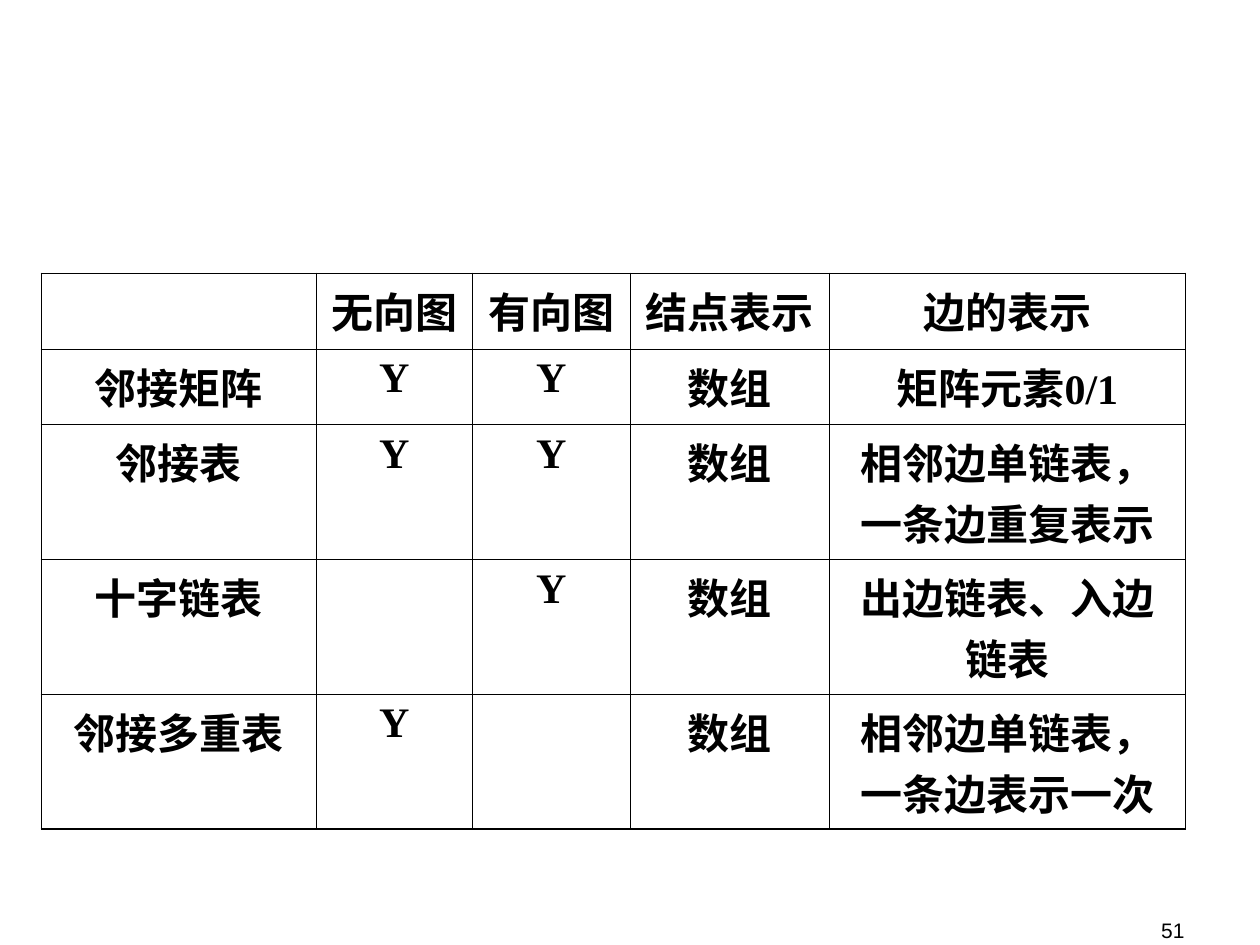
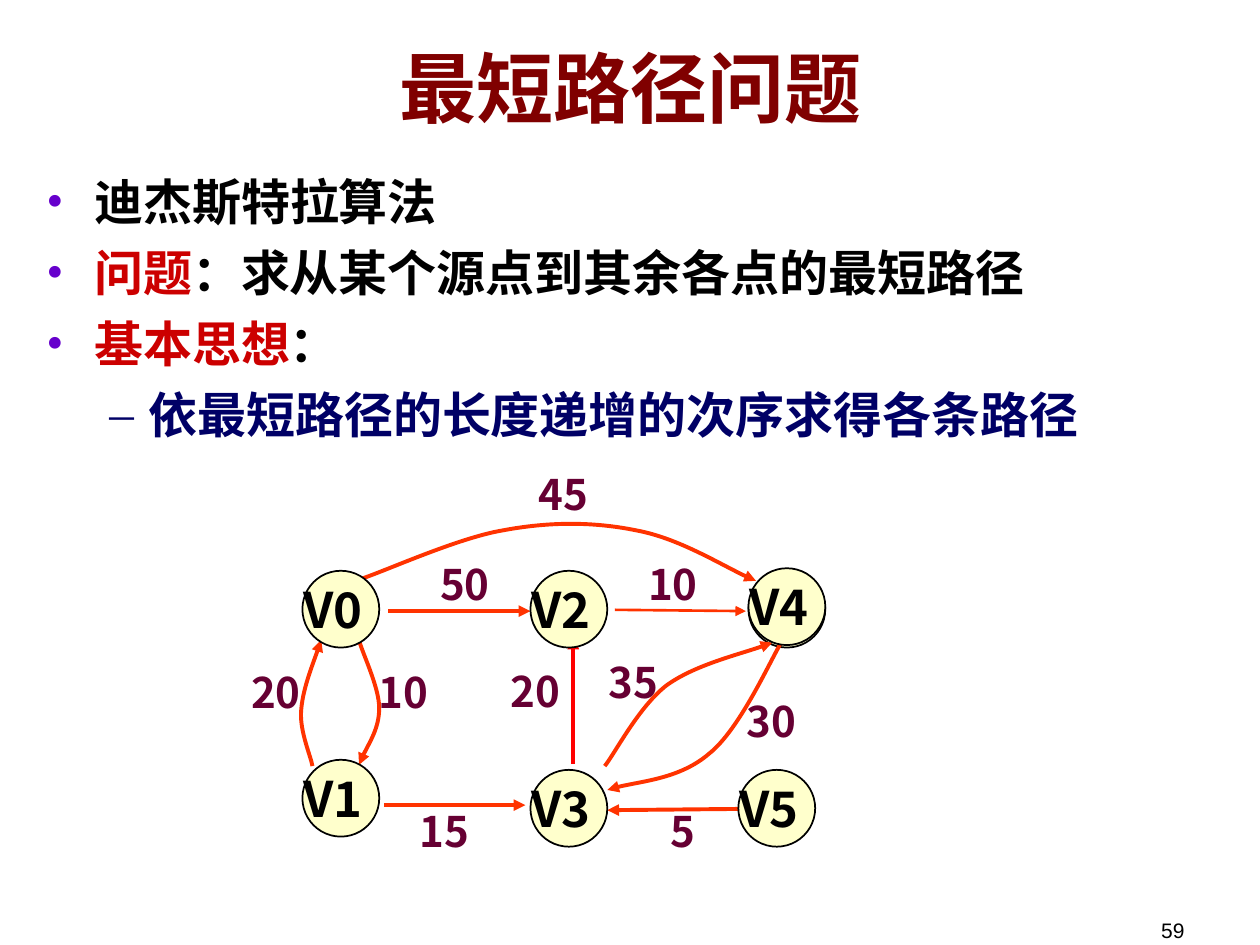
from dataclasses import dataclass

from lxml import etree
from pptx import Presentation
from pptx.dml.color import RGBColor
from pptx.enum.shapes import MSO_CONNECTOR, MSO_SHAPE
from pptx.enum.text import MSO_ANCHOR, PP_ALIGN
from pptx.oxml.ns import qn
from pptx.util import Inches, Pt

LEFT, CENTER, RIGHT = PP_ALIGN.LEFT, PP_ALIGN.CENTER, PP_ALIGN.RIGHT
TOP, MIDDLE, BOTTOM = MSO_ANCHOR.TOP, MSO_ANCHOR.MIDDLE, MSO_ANCHOR.BOTTOM
STRAIGHT, OVAL = MSO_CONNECTOR.STRAIGHT, MSO_SHAPE.OVAL


@dataclass(frozen=True)
class Theme:
    serif: str = "Times New Roman"
    sans: str = "Arial"
    chinese: str = "Noto Sans CJK SC"
    black: str = "000000"
    title: str = "800000"
    emphasis: str = "CC0000"
    bullet: str = "6600CC"
    detail: str = "000066"
    node: str = "FFFFCC"
    edge: str = "FF3300"
    red_edge: str = "FF0000"
    weight: str = "660033"
    title_size: float = 44
    body_size: float = 28
    label_size: float = 24
    page_size: float = 12
    edge_width: float = 2.25
    thin_edge: float = 1.5
    outer_border: float = 1.08
    inner_border: float = 0.45


THEME = Theme()
NODE_SIZE = 0.61

TABLE_COLUMNS = [2.18, 1.24, 1.25, 1.58, 2.83]
TABLE_ROWS = [0.6, 0.6, 1.07, 1.07, 1.07]
STORAGE_TABLE = [
    ["", "无向图", "有向图", "结点表示", "边的表示"],
    ["邻接矩阵", "Y", "Y", "数组", "矩阵元素0/1"],
    ["邻接表", "Y", "Y", "数组", "相邻边单链表，一条边重复表示"],
    ["十字链表", "", "Y", "数组", "出边链表、入边链表"],
    ["邻接多重表", "Y", "", "数组", "相邻边单链表，一条边表示一次"],
]

# Text and colour of each span
BULLETS = [
    [("迪杰斯特拉算法", THEME.black)],
    [("问题", THEME.emphasis), ("：求从某个源点到其余各点的最短路径", THEME.black)],
    [("基本思想", THEME.emphasis), ("：", THEME.black)],
]
DETAIL = [("依最短路径的长度递增的次序求得各条路径", THEME.detail)]

# Left and top of each circle
NODES = {
    "V2": (4.21, 4.53), "V0": (2.4, 4.53), "V1": (2.4, 6.03),
    "V4": (5.94, 4.51), "V3": (4.21, 6.11), "V5": (5.86, 6.11),
}
# Start, end, colour, width
STRAIGHT_EDGES = [
    ((5.9, 6.42), (4.82, 6.43), THEME.edge, THEME.edge_width),
    ((3.05, 6.39), (4.17, 6.39), THEME.edge, THEME.edge_width),
    ((3.08, 4.85), (4.21, 4.85), THEME.edge, THEME.edge_width),
    ((4.55, 6.06), (4.55, 5.06), THEME.red_edge, THEME.edge_width),
    ((4.88, 4.84), (5.92, 4.85), THEME.edge, THEME.thin_edge),
]
# Start point, then two handles and an end point for each Bézier piece
CURVED_EDGES = [
    [(2.85, 5.08), (2.87, 5.17), (3.01, 5.45), (3.01, 5.62),
     (3.01, 5.78), (2.88, 5.98), (2.85, 6.07)],
    [(2.48, 6.08), (2.47, 6.01), (2.38, 5.81), (2.39, 5.65),
     (2.4, 5.48), (2.51, 5.2), (2.55, 5.08)],
    [(4.8, 6.08), (4.88, 5.98), (5.07, 5.61), (5.29, 5.44),
     (5.51, 5.28), (5.96, 5.17), (6.13, 5.1)],
    [(6.2, 5.1), (6.11, 5.25), (5.87, 5.79), (5.63, 5.98),
     (5.4, 6.18), (4.99, 6.21), (4.82, 6.27)],
    [(2.85, 4.6), (3.04, 4.54), (3.63, 4.27), (3.99, 4.21),
     (4.36, 4.14), (4.71, 4.14), (5.05, 4.21),
     (5.38, 4.27), (5.8, 4.53), (6, 4.61)],
]
# Weight, centre, top
WEIGHTS = [
    ("45", 4.47, 3.67), ("50", 3.69, 4.38), ("10", 5.34, 4.38),
    ("20", 2.19, 5.24), ("10", 3.2, 5.24), ("15", 3.53, 6.34),
    ("20", 4.25, 5.23), ("5", 5.42, 6.34), ("30", 6.12, 5.47),
    ("35", 5.03, 5.16),
]


def rgb(color):
    return RGBColor.from_string(color)


def add_span(para, text, size, color, font=THEME.serif, bold=True):
    span = para.add_run()
    span.text = text
    span.font.size = Pt(size)
    span.font.bold = bold
    span.font.name = font
    span.font.color.rgb = rgb(color)
    east_asian = etree.SubElement(span.font._element, qn("a:ea"))
    east_asian.set("typeface", THEME.chinese)


def add_box(page, left, top, width, height, anchor=TOP):
    box = page.shapes.add_textbox(Inches(left), Inches(top), Inches(width), Inches(height))
    box.text_frame.word_wrap = True
    box.text_frame.vertical_anchor = anchor
    return box.text_frame


def add_label(page, area, text, size, color, font=THEME.serif, align=CENTER,
              anchor=TOP, bold=True):
    para = add_box(page, *area, anchor).paragraphs[0]
    para.alignment = align
    add_span(para, text, size, color, font, bold)


def add_page_number(page, number):
    add_label(page, (7.17, 7.03, 2.33, 0.5), str(number), THEME.page_size,
              THEME.black, THEME.sans, RIGHT, BOTTOM, bold=False)


def add_title(page, text):
    add_label(page, (0.51, 0.13, 9, 1.12), text, THEME.title_size, THEME.title, anchor=MIDDLE)


def set_bullet(para, character, color, margin, indent, level=0):
    para.level = level
    properties = para._p.get_or_add_pPr()
    properties.set("marL", str(Inches(margin)))
    properties.set("indent", str(Inches(-indent)))
    bullet_color = etree.SubElement(properties, qn("a:buClr"))
    etree.SubElement(bullet_color, qn("a:srgbClr")).set("val", color)
    etree.SubElement(properties, qn("a:buFont")).set("typeface", THEME.serif)
    etree.SubElement(properties, qn("a:buChar")).set("char", character)


def add_bullets(page):
    frame = add_box(page, 0.27, 1.31, 9.45, 5.67)
    for index, spans in enumerate(BULLETS + [DETAIL]):
        para = frame.add_paragraph() if index else frame.paragraphs[0]
        if spans is DETAIL:
            set_bullet(para, "–", THEME.detail, 0.81, 0.31, level=1)
        else:
            set_bullet(para, "•", THEME.bullet, 0.38, 0.38)
        para.space_before = Pt(7 if index else 0)
        for text, color in spans:
            add_span(para, text, THEME.body_size, color)


def set_border(cell, side, width):
    line = etree.SubElement(cell._tc.get_or_add_tcPr(), qn(f"a:ln{side}"))
    line.set("w", str(Pt(width)))
    fill = etree.SubElement(line, qn("a:solidFill"))
    etree.SubElement(fill, qn("a:srgbClr")).set("val", THEME.black)


def add_storage_table(page):
    row_count, column_count = len(TABLE_ROWS), len(TABLE_COLUMNS)
    table = page.shapes.add_table(
        row_count, column_count, Inches(0.33), Inches(2.17),
        Inches(sum(TABLE_COLUMNS)), Inches(sum(TABLE_ROWS))).table
    table.first_row = table.horz_banding = False
    for column, width in zip(table.columns, TABLE_COLUMNS):
        column.width = Inches(width)
    for row_index, (row, height) in enumerate(zip(table.rows, TABLE_ROWS)):
        row.height = Inches(height)
        for column_index, cell in enumerate(row.cells):
            outer_sides = {
                "L": column_index == 0, "R": column_index == column_count - 1,
                "T": row_index == 0, "B": row_index == row_count - 1,
            }
            for side, is_outer in outer_sides.items():
                set_border(cell, side, THEME.outer_border if is_outer else THEME.inner_border)
            cell.fill.background()
            text = STORAGE_TABLE[row_index][column_index]
            if text:
                para = cell.text_frame.paragraphs[0]
                para.alignment = CENTER
                add_span(para, text, THEME.label_size, THEME.black)


def style_edge(edge, color, width):
    """Colour the line and put an arrowhead at its end."""
    edge.line.color.rgb = rgb(color)
    edge.line.width = Pt(width)
    line = edge._element.spPr.find(qn("a:ln"))
    etree.SubElement(line, qn("a:tailEnd")).set("type", "triangle")


def add_straight_edge(page, start, end, color, width):
    edge = page.shapes.add_connector(STRAIGHT, *map(Inches, start + end))
    style_edge(edge, color, width)
    etree.SubElement(edge._element.spPr, qn("a:effectLst"))


def add_curved_edge(page, points):
    """Draw the points as a polyline, then turn each three segments into a Bézier."""
    start, *rest = [(Inches(x), Inches(y)) for x, y in points]
    builder = page.shapes.build_freeform(*start)
    builder.add_line_segments(rest, close=False)
    edge = builder.convert_to_shape()
    segments = list(edge._element.iter(qn("a:lnTo")))
    for first in range(0, len(segments), 3):
        curve = etree.Element(qn("a:cubicBezTo"))
        segments[first].addprevious(curve)
        for segment in segments[first:first + 3]:
            curve.append(segment[0])
            segment.getparent().remove(segment)
    edge.fill.background()
    style_edge(edge, THEME.edge, THEME.edge_width)
    edge.shadow.inherit = False


def add_circle(page, left, top):
    circle = page.shapes.add_shape(
        OVAL, Inches(left), Inches(top), Inches(NODE_SIZE), Inches(NODE_SIZE))
    circle.fill.solid()
    circle.fill.fore_color.rgb = rgb(THEME.node)
    circle.line.color.rgb = rgb(THEME.black)
    circle.line.width = Pt(1)
    circle.shadow.inherit = False


def add_node(page, name, left, top):
    add_circle(page, left, top)
    add_label(page, (left - 0.09, top + 0.02, 1.15, 0.57), name, THEME.body_size,
              THEME.black, THEME.chinese, LEFT)


def add_weight(page, text, center, top):
    width = 1.5
    add_label(page, (center - width / 2, top, width, 0.5), text, THEME.label_size,
              THEME.weight, THEME.chinese)


def add_graph(page):
    left, top = NODES["V4"]
    add_circle(page, left, top + 0.02)
    for edge in STRAIGHT_EDGES:
        add_straight_edge(page, *edge)
    for points in CURVED_EDGES:
        add_curved_edge(page, points)
    for weight in WEIGHTS:
        add_weight(page, *weight)
    for name, corner in NODES.items():
        add_node(page, name, *corner)


def add_page(deck, number):
    page = deck.slides.add_slide(deck.slide_layouts[6])
    add_page_number(page, number)
    return page


def main():
    deck = Presentation()
    deck.slide_width, deck.slide_height = Inches(10), Inches(7.5)

    storage_page = add_page(deck, 51)
    add_storage_table(storage_page)

    path_page = add_page(deck, 59)
    add_title(path_page, "最短路径问题")
    add_bullets(path_page)
    add_graph(path_page)

    deck.save("out.pptx")


if __name__ == "__main__":
    main()
